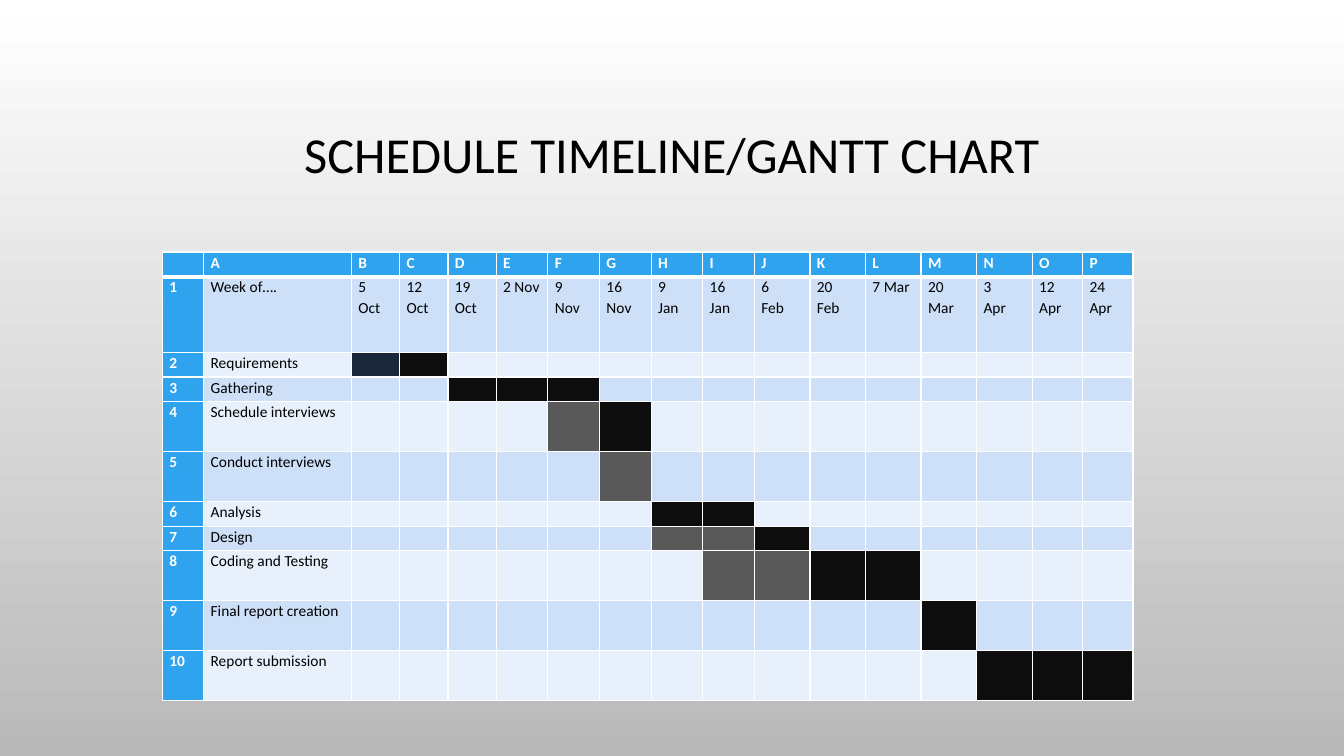
from lxml.etree import SubElement
from pptx import Presentation
from pptx.dml.color import RGBColor
from pptx.enum.text import MSO_ANCHOR, PP_ALIGN
from pptx.oxml.ns import qn
from pptx.util import Pt

TITLE = "SCHEDULE TIMELINE/GANTT CHART"
FONT = "Calibri"
BLACK, WHITE, BLUE = "000000", "FFFFFF", "2FA3EE"
BANDS = ("CDE0F8", "E8F0FC")
NAVY, DARK, GRAY = "1A2839", "0D0D0D", "595959"

LETTERS = "ABCDEFGHIJKLMNOP"
WEEKS = ["5\nOct", "12\nOct", "19 Oct", "2 Nov", "9\nNov", "16 Nov", "9\nJan", "16\nJan",
         "6\nFeb", "20\nFeb", "7 Mar", "20 Mar", "3\nApr", "12\nApr", "24 Apr"]
# Each task has a name, a row height and bars given as column letters by colour.
SHORT, TALL = 17.6, 35.7
TASKS = [
    ("Requirements", SHORT, {NAVY: "B", DARK: "C"}),
    ("Gathering", SHORT, {DARK: "DEF"}),
    ("Schedule interviews", TALL, {GRAY: "F", DARK: "G"}),
    ("Conduct interviews", TALL, {GRAY: "G"}),
    ("Analysis", SHORT, {DARK: "HI"}),
    ("Design", SHORT, {GRAY: "HI", DARK: "J"}),
    ("Coding and Testing", TALL, {GRAY: "IJ", DARK: "KL"}),
    ("Final report creation", TALL, {DARK: "M"}),
    ("Report submission", TALL, {DARK: "NOP"}),
]
COLUMN_WIDTHS = [29.5, 105.5] + [34.5] * 3 + [36.9] * 5 + [39.7] * 5 + [36] * 2
ROW_HEIGHTS = [17.8, 54] + [height for _, height, _ in TASKS]


def color(value):
    return RGBColor.from_string(value)


def format_text(text_frame, size, text_color, spacing, bold=False, align=PP_ALIGN.LEFT):
    for paragraph in text_frame.paragraphs:
        paragraph.line_spacing = spacing
        paragraph.alignment = align
        for run in paragraph.runs:
            run.font.name = FONT
            run.font.size = Pt(size)
            run.font.bold = bold
            run.font.color.rgb = color(text_color)
        if not paragraph.runs:
            # An empty cell needs a size too, or its row grows.
            SubElement(paragraph._p, qn("a:endParaRPr"), sz=str(size * 100))


def add_borders(cell, widths):
    properties = cell._tc.get_or_add_tcPr()
    for side, width in widths.items():
        line = SubElement(properties, qn(f"a:ln{side}"), w=str(Pt(width)))
        fill = SubElement(line, qn("a:solidFill"))
        SubElement(fill, qn("a:srgbClr"), val=WHITE)


def fill_cell(cell, text, fill, text_color, bold, borders):
    cell.margin_left = cell.margin_right = Pt(5)
    cell.margin_top = cell.margin_bottom = 0
    cell.text_frame.text = text
    format_text(cell.text_frame, 11, text_color, 1.07, bold)
    add_borders(cell, borders)
    cell.fill.solid()
    cell.fill.fore_color.rgb = color(fill)


presentation = Presentation()
presentation.slide_width, presentation.slide_height = Pt(960), Pt(540)
slide = presentation.slides.add_slide(presentation.slide_layouts[6])

background = slide.background.fill
background.gradient()
background.gradient_angle = 270
for stop, value, position in zip(background.gradient_stops, (WHITE, "B9B9B9"), (0, 1)):
    stop.color.rgb = color(value)
    stop.position = position

title = slide.shapes.add_textbox(Pt(72), Pt(49), Pt(816), Pt(126)).text_frame
title.word_wrap = True
title.vertical_anchor = MSO_ANCHOR.MIDDLE
title.text = TITLE
format_text(title, 36, BLACK, 0.9, align=PP_ALIGN.CENTER)

rows = [["", *LETTERS], ["1", "Week of….", *WEEKS]]
rows += [[str(number), name] + [""] * len(WEEKS)
         for number, (name, _, _) in enumerate(TASKS, start=2)]
bars = {(row, LETTERS.index(letter) + 1): bar_color
        for row, (_, _, spans) in enumerate(TASKS, start=2)
        for bar_color, letters in spans.items()
        for letter in letters}

table = slide.shapes.add_table(len(rows), len(COLUMN_WIDTHS), Pt(116), Pt(180),
                               Pt(sum(COLUMN_WIDTHS)), Pt(sum(ROW_HEIGHTS))).table
table.horz_banding = False
for column, width in zip(table.columns, COLUMN_WIDTHS):
    column.width = Pt(width)
for row, height in zip(table.rows, ROW_HEIGHTS):
    row.height = Pt(height)

for row, texts in enumerate(rows):
    borders = {"L": 1, "R": 1, "T": 3 if row == 1 else 1, "B": 3 if row == 0 else 1}
    for column, text in enumerate(texts):
        heading = row == 0 or column == 0
        fill = BLUE if heading else bars.get((row, column), BANDS[(row - 1) % 2])
        fill_cell(table.cell(row, column), text, fill,
                  WHITE if heading else BLACK, heading, borders)

presentation.save("out.pptx")
